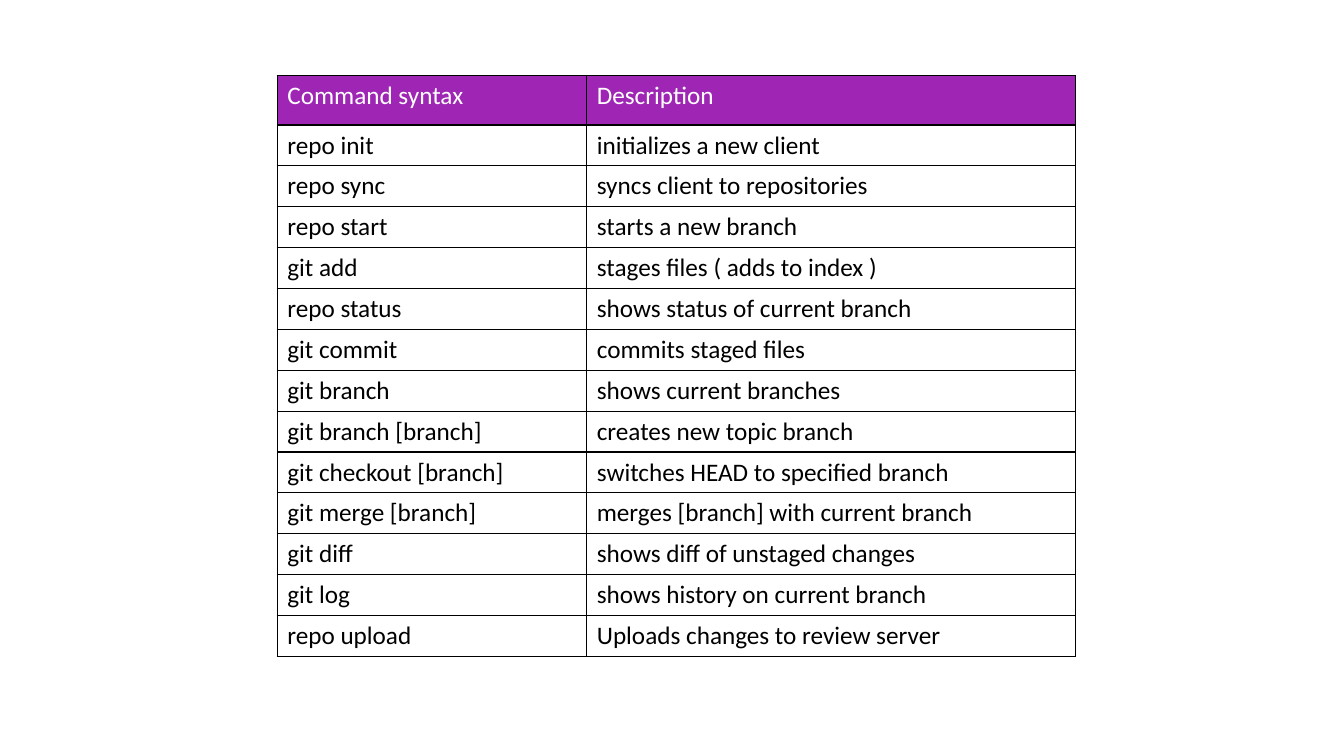
"""Build a slide with a table of repo and git commands."""
from dataclasses import dataclass

from lxml.etree import SubElement
from pptx import Presentation
from pptx.dml.color import RGBColor
from pptx.oxml.ns import qn
from pptx.table import Table, _Cell as Cell
from pptx.util import Inches, Pt

COLORS = {"header": "9F26B5", "header_text": "FFFFFF", "text": "000000", "border": "000000"}
FONT = "Calibri"
LEFT, TOP, HEIGHT = 2.75, 0.75, 5.76
COLUMN_WIDTHS = (3.07, 4.85)
HEADER_HEIGHT = 0.49


@dataclass(frozen=True)
class Command:
    syntax: str
    description: str


HEADER = Command("Command syntax", "Description")
COMMANDS = [
    Command("repo init", "initializes a new client"),
    Command("repo sync", "syncs client to repositories"),
    Command("repo start", "starts a new branch"),
    Command("git add", "stages files ( adds to index )"),
    Command("repo status", "shows status of current branch"),
    Command("git commit", "commits staged files"),
    Command("git branch", "shows current branches"),
    Command("git branch [branch]", "creates new topic branch"),
    Command("git checkout [branch]", "switches HEAD to specified branch"),
    Command("git merge [branch]", "merges [branch] with current branch"),
    Command("git diff", "shows diff of unstaged changes"),
    Command("git log", "shows history on current branch"),
    Command("repo upload", "Uploads changes to review server"),
]


def add_borders(cell: Cell) -> None:
    properties = cell._tc.get_or_add_tcPr()
    for side in ("lnL", "lnR", "lnT", "lnB"):
        line = SubElement(properties, qn(f"a:{side}"), w=str(Pt(1)))
        fill = SubElement(line, qn("a:solidFill"))
        SubElement(fill, qn("a:srgbClr"), val=COLORS["border"])


def fill_cell(cell: Cell, text: str, is_header: bool) -> None:
    add_borders(cell)
    if is_header:
        cell.fill.solid()
        cell.fill.fore_color.rgb = RGBColor.from_string(COLORS["header"])
    else:
        cell.fill.background()
    cell.text_frame.text = text
    font = cell.text_frame.paragraphs[0].runs[0].font
    font.name, font.size, font.bold = FONT, Pt(18), False
    font.color.rgb = RGBColor.from_string(COLORS["header_text" if is_header else "text"])


def fill_table(table: Table) -> None:
    table.first_row = table.horz_banding = False
    for column, width in zip(table.columns, COLUMN_WIDTHS):
        column.width = Inches(width)
    command_height = (HEIGHT - HEADER_HEIGHT) / len(COMMANDS)
    for index, command in enumerate([HEADER, *COMMANDS]):
        is_header = index == 0
        table.rows[index].height = Inches(HEADER_HEIGHT if is_header else command_height)
        fill_cell(table.cell(index, 0), command.syntax, is_header)
        fill_cell(table.cell(index, 1), command.description, is_header)


def main() -> None:
    presentation = Presentation()
    presentation.slide_width, presentation.slide_height = Inches(13.33), Inches(7.5)
    slide = presentation.slides.add_slide(presentation.slide_layouts[6])
    frame = slide.shapes.add_table(
        len(COMMANDS) + 1, len(COLUMN_WIDTHS),
        Inches(LEFT), Inches(TOP), Inches(sum(COLUMN_WIDTHS)), Inches(HEIGHT),
    )
    fill_table(frame.table)
    presentation.save("out.pptx")


if __name__ == "__main__":
    main()
